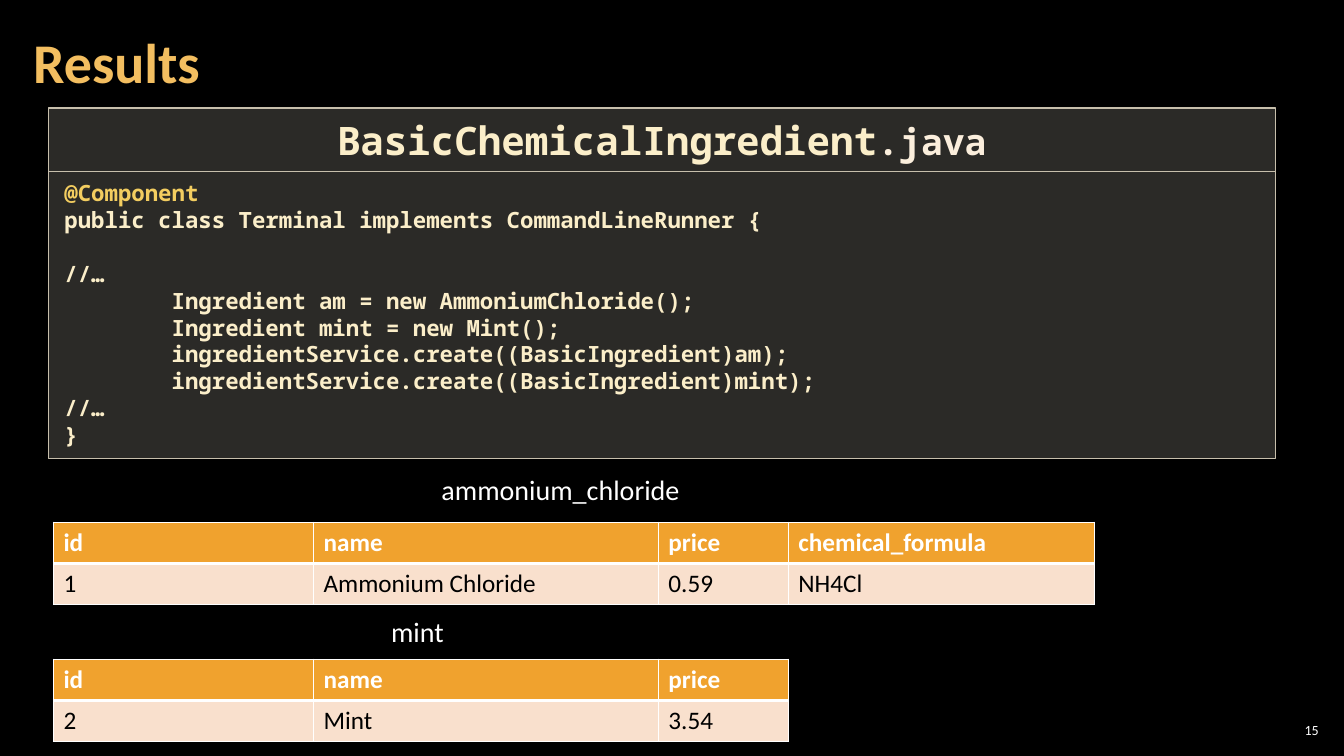
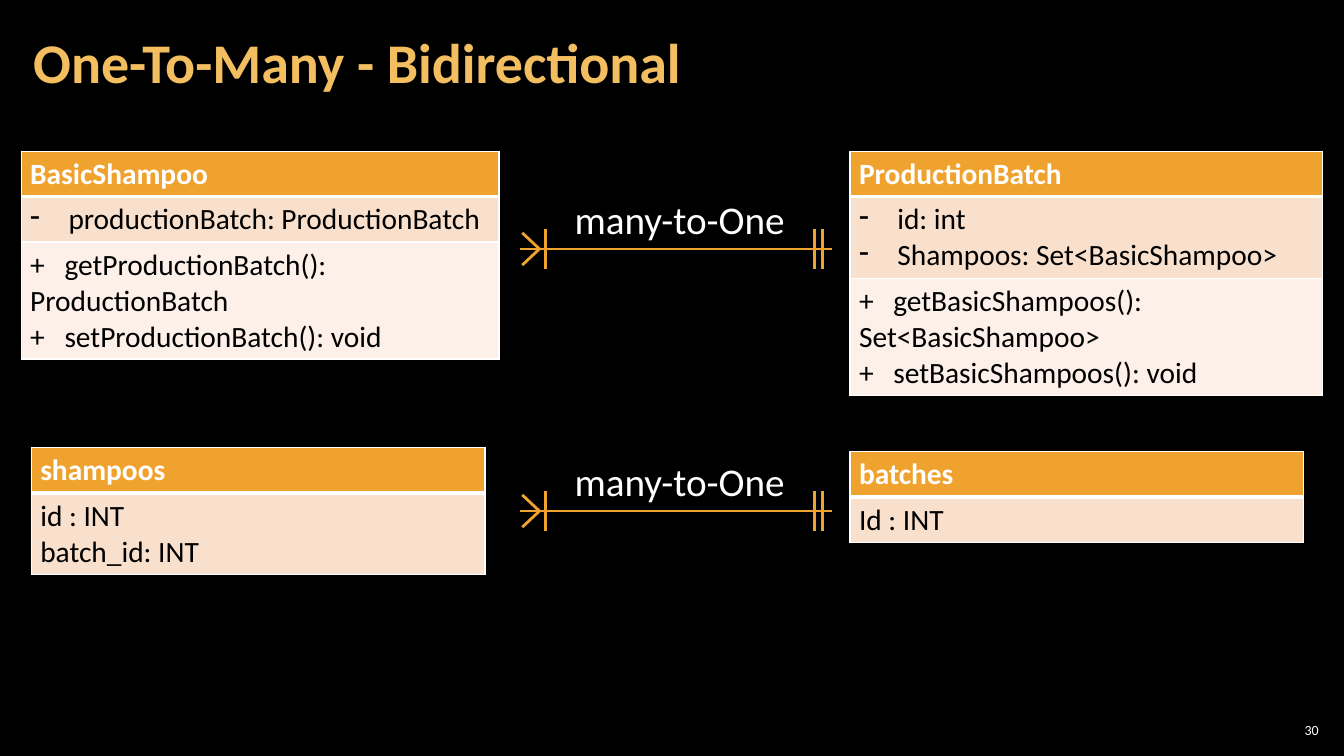
from dataclasses import dataclass

from lxml import etree
from pptx import Presentation
from pptx.dml.color import RGBColor
from pptx.enum import shapes, text
from pptx.oxml import ns
from pptx.util import Inches, Pt

LEFT, MID, RIGHT = text.PP_ALIGN.LEFT, text.PP_ALIGN.CENTER, text.PP_ALIGN.RIGHT


@dataclass(frozen=True)
class Theme:
    back: str = "000000"
    white: str = "FFFFFF"
    gold: str = "F3BE60"
    amber: str = "F0A22E"
    peach: str = "F9E0CD"
    pale: str = "FCF0E8"
    panel: str = "D9D5C7"
    edge: str = "C7BFAC"
    code: str = "FBEEC9"
    suffix: str = "FBEEDC"
    mark: str = "F3CD60"
    sans: str = "Calibri"
    mono: str = "Noto Sans Mono"
    title_size: int = 40
    file_size: int = 28
    suffix_size: int = 26
    link_size: int = 28
    entity_size: int = 21
    label_size: int = 20
    grid_size: int = 18
    code_size: int = 16
    page_size: int = 10


T = Theme()


@dataclass(frozen=True)
class Box:
    left: float
    top: float
    width: float
    height: float

    def emu(self) -> list:
        return [Inches(v) for v in (self.left, self.top, self.width, self.height)]


@dataclass(frozen=True)
class Style:
    size: float
    color: str = T.white
    bold: bool = False
    face: str = T.sans


@dataclass(frozen=True)
class Row:
    """One table row; lines inside a cell are split by a newline."""
    cells: tuple
    height: float
    fill: str = T.peach
    head: bool = False


@dataclass(frozen=True)
class Grid:
    left: float
    top: float
    cols: tuple
    rows: tuple
    size: int
    pad: float


def add_xml(parent, tag: str, **attrs):
    return etree.SubElement(parent, ns.qn(tag), attrs)


def set_font(font, style: Style) -> None:
    font.name, font.size, font.bold = style.face, Pt(style.size), style.bold
    font.color.rgb = RGBColor.from_string(style.color)


def write(frame, lines: list, style: Style, align=LEFT) -> None:
    """Fill a frame; "- " starts a bullet, a tab sets a stop after the sign."""
    for i, line in enumerate(lines):
        para = frame.paragraphs[0] if i == 0 else frame.add_paragraph()
        para.alignment = align
        props = para._p.get_or_add_pPr()
        if line.startswith("- "):
            props.set("marL", str(Inches(0.38)))
            props.set("indent", str(-Inches(0.38)))
            add_xml(props, "a:buChar", char="-")
            line = line[2:]
        elif "\t" in line:
            add_xml(add_xml(props, "a:tabLst"), "a:tab", pos=str(Inches(0.34)), algn="l")
        para.text = line
        set_font(para.font, style)


def set_pad(frame, side: float, edge: float) -> None:
    frame.margin_left = frame.margin_right = Inches(side)
    frame.margin_top = frame.margin_bottom = Inches(edge)


def add_text(slide, box: Box, line: str, style: Style, align=LEFT, wrap: bool = True):
    frame = slide.shapes.add_textbox(*box.emu()).text_frame
    frame.word_wrap = wrap
    write(frame, [line], style, align)
    return frame


def add_slide(deck, title: str, page: int):
    slide = deck.slides.add_slide(deck.slide_layouts[6])
    slide.background.fill.solid()
    slide.background.fill.fore_color.rgb = RGBColor.from_string(T.back)
    head = add_text(slide, Box(0.21, 0.04, 10.47, 1.21), title,
                    Style(T.title_size, T.gold, True))
    head.paragraphs[0].line_spacing = 0.9
    set_pad(head, 0.12, 0.04)
    foot = add_text(slide, Box(12.65, 7.14, 0.47, 0.21), str(page),
                    Style(T.page_size), RIGHT)
    set_pad(foot, 0.04, 0.04)
    head.vertical_anchor = foot.vertical_anchor = text.MSO_ANCHOR.MIDDLE
    return slide


def add_panel(slide, box: Box):
    """Draw a see-through code panel and return its text frame."""
    shape = slide.shapes.add_shape(shapes.MSO_SHAPE.RECTANGLE, *box.emu())
    shape.shadow.inherit = False
    shape.fill.solid()
    shape.fill.fore_color.rgb = RGBColor.from_string(T.panel)
    tint = shape.element.spPr.find(ns.qn("a:solidFill"))[0]
    add_xml(tint, "a:alpha", val="20000")
    shape.line.color.rgb = RGBColor.from_string(T.edge)
    shape.line.width = Pt(1)
    frame = shape.text_frame
    frame.word_wrap = True
    frame.vertical_anchor = text.MSO_ANCHOR.TOP
    set_pad(frame, 0.16, 0.08)
    return frame


def set_edges(cell, top: float, bottom: float) -> None:
    props = cell._tc.get_or_add_tcPr()
    sides = {"a:lnL": 1, "a:lnR": 1, "a:lnT": top, "a:lnB": bottom}
    for tag, width in sides.items():
        line = add_xml(props, tag, w=str(Pt(width)))
        add_xml(add_xml(line, "a:solidFill"), "a:srgbClr", val=T.white)


def add_grid(slide, grid: Grid) -> None:
    box = Box(grid.left, grid.top, sum(grid.cols), sum(r.height for r in grid.rows))
    table = slide.shapes.add_table(len(grid.rows), len(grid.cols), *box.emu()).table
    table.horz_banding = False
    for col, width in zip(table.columns, grid.cols):
        col.width = Inches(width)
    for i, row in enumerate(grid.rows):
        table.rows[i].height = Inches(row.height)
        style = Style(grid.size, T.white if row.head else T.back, row.head)
        for cell, words in zip(table.rows[i].cells, row.cells):
            set_edges(cell, 3 if i == 1 else 1, 3 if row.head else 1)
            cell.fill.solid()
            cell.fill.fore_color.rgb = RGBColor.from_string(row.fill)
            set_pad(cell, grid.pad, 0.05)
            write(cell.text_frame, words.split("\n"), style)


def add_data(slide, top: float, cols: tuple, names: tuple, values: tuple) -> None:
    rows = (Row(names, 0.41, T.amber, True), Row(values, 0.41))
    add_grid(slide, Grid(0.53, top, cols, rows, T.grid_size, 0.1))


def add_entity(slide, left: float, top: float, width: float, name: str,
               fields: str, calls: str = "") -> None:
    """Draw a class or database box; its methods are optional."""
    rows = [Row((name,), 0.44, T.amber, True),
            Row((fields,), 0.09 + 0.36 * len(fields.split("\n")))]
    if calls:
        rows.append(Row((calls,), 1.16, T.pale))
    add_grid(slide, Grid(left, top, (width,), tuple(rows), T.entity_size, 0.09))


def add_line(slide, x1: float, y1: float, x2: float, y2: float) -> None:
    line = slide.shapes.add_connector(
        shapes.MSO_CONNECTOR.STRAIGHT, *(Inches(v) for v in (x1, y1, x2, y2)))
    line.line.color.rgb = RGBColor.from_string(T.amber)
    line.line.width = Pt(2)
    add_xml(line.element.spPr, "a:effectLst")


def add_link(slide, y: float) -> None:
    """Draw a crow's foot on the left and a double bar on the right."""
    add_line(slide, 5.16, y, 8.25, y)
    for rise in (-0.16, 0.16):
        add_line(slide, 5.18, y + rise, 5.35, y)
    for x in (5.41, 8.08, 8.16):
        add_line(slide, x, y - 0.2, x, y + 0.2)
    add_text(slide, Box(5.6, y - 0.58, 2.32, 0.57), "many-to-One",
             Style(T.link_size), wrap=False)


CODE = """@Component
public class Terminal implements CommandLineRunner {

//…
        Ingredient am = new AmmoniumChloride();
        Ingredient mint = new Mint();
        ingredientService.create((BasicIngredient)am);
        ingredientService.create((BasicIngredient)mint);
//…
}"""


def add_results(deck) -> None:
    slide = add_slide(deck, "Results", 15)
    body = add_panel(slide, Box(0.48, 1.7, 12.17, 2.85))
    write(body, CODE.split("\n"), Style(T.code_size, T.code, True, T.mono))
    body.paragraphs[0].font.color.rgb = RGBColor.from_string(T.mark)

    name = add_panel(slide, Box(0.48, 1.07, 12.17, 0.63))
    write(name, ["BasicChemicalIngredient"],
          Style(T.file_size, T.code, True, T.mono), MID)
    end = name.paragraphs[0].add_run()
    end.text = ".java"
    set_font(end.font, Style(T.suffix_size, T.suffix, True, T.mono))

    cols, names = (2.58, 3.42, 1.29, 3.04), ("id", "name", "price", "chemical_formula")
    label = Style(T.label_size)
    add_text(slide, Box(4.28, 4.64, 2.82, 0.44), "ammonium_chloride", label)
    add_data(slide, 5.18, cols, names, ("1", "Ammonium Chloride", "0.59", "NH4Cl"))
    add_text(slide, Box(3.78, 6.05, 0.79, 0.44), "mint", label)
    add_data(slide, 6.54, cols[:3], names[:3], ("2", "Mint", "3.54"))


def add_model(deck) -> None:
    slide = add_slide(deck, "One-To-Many - Bidirectional", 30)
    add_entity(slide, 0.21, 1.5, 4.74, "BasicShampoo",
               "- productionBatch: ProductionBatch",
               "+\tgetProductionBatch(): ProductionBatch\n+\tsetProductionBatch(): void")
    add_entity(slide, 8.43, 1.5, 4.69, "ProductionBatch",
               "- id: int\n- Shampoos: Set<BasicShampoo>",
               "+\tgetBasicShampoos(): Set<BasicShampoo>\n+\tsetBasicShampoos(): void")
    add_entity(slide, 0.31, 4.44, 4.5, "shampoos", "id : INT\nbatch_id: INT")
    add_entity(slide, 8.43, 4.48, 4.5, "batches", "Id : INT")
    for y in (2.47, 5.07):
        add_link(slide, y)


def main() -> None:
    deck = Presentation()
    deck.slide_width, deck.slide_height = Inches(13.33), Inches(7.5)
    add_results(deck)
    add_model(deck)
    deck.save("out.pptx")


if __name__ == "__main__":
    main()
